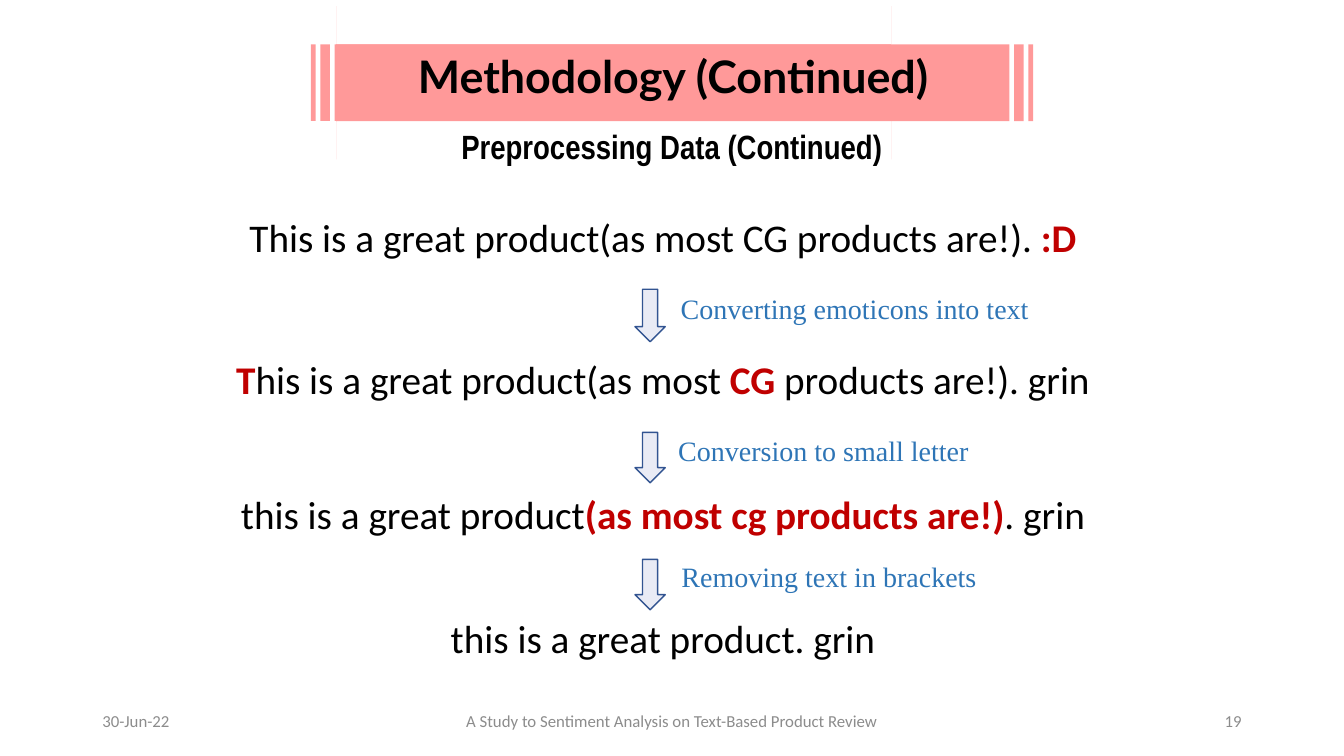
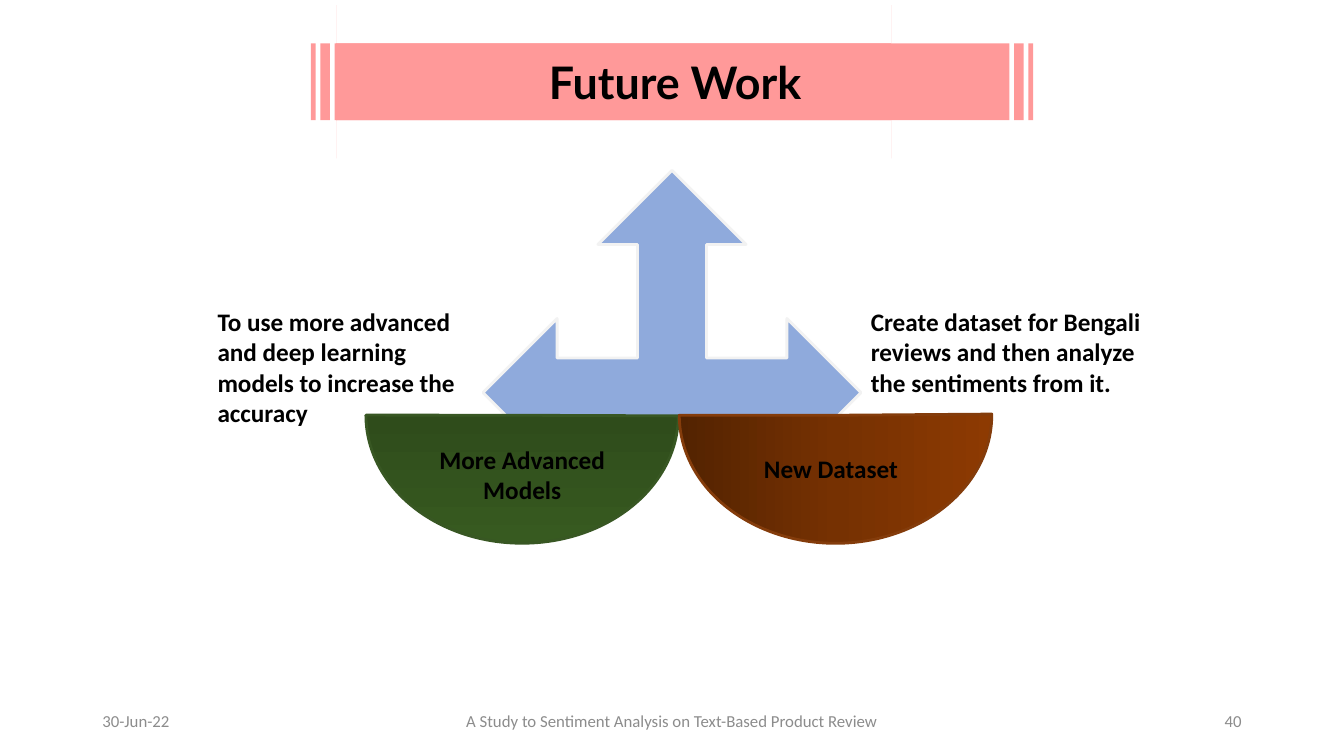
from copy import deepcopy

from pptx import Presentation
from pptx.dml.color import RGBColor
from pptx.enum.shapes import MSO_SHAPE
from pptx.enum.text import MSO_ANCHOR, MSO_AUTO_SIZE, PP_ALIGN
from pptx.oxml.ns import qn
from pptx.util import Pt

BLACK = RGBColor(0x00, 0x00, 0x00)
GREY = RGBColor(0x8C, 0x8C, 0x8C)
RED = RGBColor(0xC0, 0x00, 0x00)
BLUE = RGBColor(0x2E, 0x75, 0xB6)
PINK = RGBColor(0xFF, 0x99, 0x99)
PALE = RGBColor(0xE9, 0xEB, 0xF5)
NAVY = RGBColor(0x32, 0x54, 0x91)
SKY = RGBColor(0x8F, 0xAA, 0xDC)
MIST = RGBColor(0xF2, 0xF2, 0xF2)
GREEN = RGBColor(0x38, 0x57, 0x23)
GREENS = [RGBColor(0x21, 0x36, 0x13), RGBColor(0x2F, 0x4C, 0x1B), RGBColor(0x37, 0x5A, 0x20)]
BROWN = RGBColor(0x84, 0x3C, 0x0B)
BROWNS = [RGBColor(0x53, 0x23, 0x01), RGBColor(0x76, 0x31, 0x02), RGBColor(0x8D, 0x3A, 0x02)]

FOOTER = "A Study to Sentiment Analysis on Text-Based Product Review"
LEFT, CENTER, RIGHT = PP_ALIGN.LEFT, PP_ALIGN.CENTER, PP_ALIGN.RIGHT


def add_run(p, text, font, size, color, bold):
    r = p.add_run()
    r.text = text
    r.font.name = font
    r.font.size = Pt(size)
    r.font.bold = bold
    r.font.color.rgb = color


def add_text(slide, box, paragraphs, size, font="Calibri", color=BLACK, bold=False,
             align=CENTER, anchor=MSO_ANCHOR.TOP, grow=True):
    sp = slide.shapes.add_textbox(*map(Pt, box))
    tf = sp.text_frame
    tf.word_wrap = True
    tf.vertical_anchor = anchor
    if grow:
        tf.auto_size = MSO_AUTO_SIZE.SHAPE_TO_FIT_TEXT
    for i, runs in enumerate(paragraphs):
        p = tf.add_paragraph() if i else tf.paragraphs[0]
        p.alignment = align
        for text, marked in runs:
            add_run(p, text, font, size, RED if marked else color, bold or marked)


def plain(*lines):
    return [[(line, False)] for line in lines]


def add_figure(shapes, kind, box, fill=None, line=None, weight=1, adj=(), rotation=0):
    sp = shapes.add_shape(kind, *map(Pt, box))
    sp.shadow.inherit = False
    sp.rotation = rotation
    for i, value in enumerate(adj):
        sp.adjustments[i] = value
    if fill:
        sp.fill.solid()
        sp.fill.fore_color.rgb = fill
    if line:
        sp.line.color.rgb = line
        sp.line.width = Pt(weight)
    else:
        sp.line.fill.background()
    return sp


def add_bowl(slide, box, colors, line, adj, rotation=0):
    sp = add_figure(slide.shapes, MSO_SHAPE.PIE, box, None, line, 2, adj, rotation)
    sp.fill.gradient()
    sp.fill.gradient_angle = 270
    stops = sp._element.spPr.find(".//" + qn("a:gsLst"))
    stops.append(deepcopy(stops[0]))
    for stop, color, position in zip(sp.fill.gradient_stops, colors, (0, 0.5, 1)):
        stop.color.rgb = color
        stop.position = position


def add_title(slide, text, band_top, box):
    band = slide.shapes.add_group_shape().shapes
    for left, width, rotation in ((222, 414.5, 0), (240, 498, 180)):
        add_figure(band, MSO_SHAPE.STRIPED_RIGHT_ARROW, (left, band_top, width, 109.5),
                   PINK, adj=(0.5, 0), rotation=rotation)
    add_text(slide, box, plain(text), 32, "Lato", bold=True)


def add_footer(slide, number):
    for left, width, text, align in ((66, 216, "30-Jun-22", LEFT),
                                     (318, 324, FOOTER, CENTER),
                                     (678, 216, str(number), RIGHT)):
        add_text(slide, (left, 500.5, width, 28.75), plain(text), 12, color=GREY,
                 align=align, anchor=MSO_ANCHOR.MIDDLE, grow=False)


def add_sentence(slide, top, *runs):
    add_text(slide, (113, top, 721, 41), [runs], 28)


def add_step(slide, top, height, label, label_top, label_width):
    add_figure(slide.shapes, MSO_SHAPE.DOWN_ARROW, (453.6, top, 21.6, height), PALE, NAVY)
    add_text(slide, (475.2, label_top, label_width, 31.5), plain(label), 20,
             "Times New Roman", BLUE)


def build_methodology(slide):
    add_footer(slide, 19)
    add_text(slide, (298, 86.4, 363.6, 36), plain("Preprocessing Data (Continued)"), 24,
             "Arial Narrow", bold=True)
    add_title(slide, "Methodology (Continued)", 4.3, (246.2, 31, 469.4, 46))
    add_sentence(slide, 149, ("This is a great product(as most CG products are!). ", False),
                 (":D", True))
    add_step(slide, 206.6, 37.5, "Converting emoticons into text", 204.5, 270.7)
    add_sentence(slide, 250.5, ("T", True), ("his is a great product(as most ", False),
                 ("CG", True), (" products are!). grin", False))
    add_step(slide, 308.9, 36, "Conversion to small letter", 306, 226)
    add_sentence(slide, 347, ("this is a great product", False),
                 ("(as most cg products are!)", True), (". grin", False))
    add_step(slide, 399.6, 36, "Removing text in brackets", 396, 234)
    add_sentence(slide, 435, ("this is a great product. grin", False))


def build_future_work(slide):
    add_title(slide, "Future Work", 3.6, (280, 35.3, 404.6, 46))
    add_footer(slide, 40)
    add_figure(slide.shapes, MSO_SHAPE.LEFT_RIGHT_UP_ARROW, (345, 121.7, 270, 211.7),
               SKY, MIST, 2, (0.233, 0.25, 0.25))
    add_bowl(slide, (261.4, 205.2, 223.2, 182.9), GREENS, GREEN, (0.136, 108.037))
    add_bowl(slide, (505.4, 185, 182.9, 223.2), BROWNS, BROWN, (53.733, 162), 270)
    notes = (
        ((148.3, 215.3, 202, 72.7), LEFT,
         ["To use more advanced and deep learning models to increase the accuracy"]),
        ((614.9, 215.3, 212, 72.7), LEFT,
         ["Create dataset for Bengali reviews and then analyze", "the sentiments from it."]),
        ((538.6, 320.4, 118.8, 46), LEFT, ["New Dataset"]),
        ((288, 313.9, 170, 51), CENTER, ["More Advanced Models"]),
    )
    for box, align, lines in notes:
        add_text(slide, box, plain(*lines), 18, bold=True, align=align)


def main():
    prs = Presentation()
    prs.slide_width, prs.slide_height = Pt(960), Pt(540)
    for build in (build_methodology, build_future_work):
        build(prs.slides.add_slide(prs.slide_layouts[6]))
    prs.save("out.pptx")


if __name__ == "__main__":
    main()
